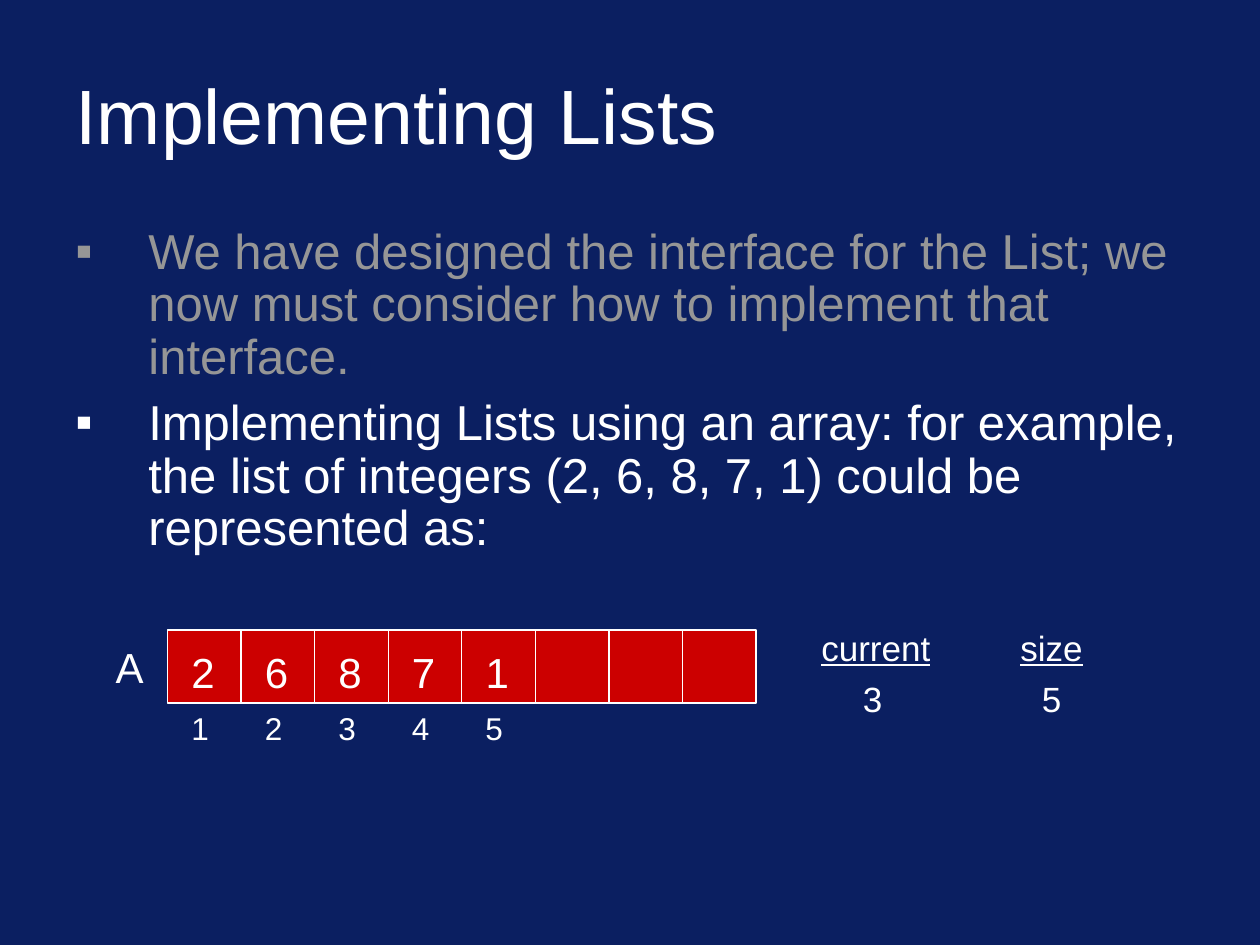
from pptx import Presentation
from pptx.dml.color import RGBColor
from pptx.enum.shapes import MSO_CONNECTOR as Connector, MSO_SHAPE as Shape
from pptx.enum.text import MSO_ANCHOR as Anchor, MSO_AUTO_SIZE as AutoSize, PP_ALIGN as Align
from pptx.oxml.ns import qn
from pptx.util import Inches, Pt
from lxml.etree import SubElement

COLORS = {"navy": "0B1F61", "white": "FFFFFF", "gray": "969696", "red": "CC0000"}
ARRAY_LEFT, ARRAY_TOP, ARRAY_WIDTH, ARRAY_HEIGHT = 1.33, 5, 4.67, 0.58
CELL_COUNT = 8
CELL_WIDTH = ARRAY_WIDTH / CELL_COUNT


def color(name):
    return RGBColor.from_string(COLORS[name])


def write(paragraph, text, size=24, fill="white", underline=None, font="Arial"):
    paragraph.alignment = Align.LEFT
    run = paragraph.add_run()
    run.text = text
    run.font.name = font
    run.font.size = Pt(size)
    run.font.color.rgb = color(fill)
    run.font.underline = underline


class SlideBuilder:
    line_width = Pt(0.75)
    bullet = "▪"
    bullet_indent = Inches(0.58)

    def __init__(self, presentation):
        self.slide = presentation.slides.add_slide(presentation.slide_layouts[5])
        background = self.slide.background.fill
        background.solid()
        background.fore_color.rgb = color("navy")

    def title(self, text, left, top, width, height):
        title = self.slide.shapes.title
        title.left, title.top = Inches(left), Inches(top)
        title.width, title.height = Inches(width), Inches(height)
        title.text_frame.vertical_anchor = Anchor.MIDDLE
        title.text_frame.auto_size = AutoSize.NONE
        write(title.text_frame.paragraphs[0], text, size=44)

    def text_box(self, left, top, width, height, wrap=False):
        box = self.slide.shapes.add_textbox(
            Inches(left), Inches(top), Inches(width), Inches(height))
        box.text_frame.word_wrap = wrap
        return box.text_frame

    def label(self, text, left, top, width, height, **style):
        frame = self.text_box(left, top, width, height)
        frame.auto_size = AutoSize.SHAPE_TO_FIT_TEXT
        write(frame.paragraphs[0], text, **style)

    def bullets(self, items, left, top, width, height):
        frame = self.text_box(left, top, width, height, wrap=True)
        for index, (text, fill) in enumerate(items):
            paragraph = frame.add_paragraph() if index else frame.paragraphs[0]
            paragraph.line_spacing = 0.9
            paragraph.space_before = Pt(7)
            write(paragraph, text, size=28, fill=fill)
            properties = paragraph._p.get_or_add_pPr()
            properties.set("marL", str(self.bullet_indent))
            properties.set("indent", str(-self.bullet_indent))
            bullet_color = SubElement(properties, qn("a:buClr"))
            SubElement(bullet_color, qn("a:srgbClr"), val=COLORS[fill])
            SubElement(properties, qn("a:buFont"), typeface="Arial")
            SubElement(properties, qn("a:buChar"), char=self.bullet)

    def rectangle(self, left, top, width, height, fill):
        shape = self.slide.shapes.add_shape(
            Shape.RECTANGLE, Inches(left), Inches(top), Inches(width), Inches(height))
        shape.shadow.inherit = False
        shape.fill.solid()
        shape.fill.fore_color.rgb = color(fill)
        shape.line.color.rgb = color("white")
        shape.line.width = self.line_width
        return shape

    def vertical_line(self, x, top, bottom):
        line = self.slide.shapes.add_connector(
            Connector.STRAIGHT, Inches(x), Inches(top), Inches(x), Inches(bottom))
        line.line.color.rgb = color("white")
        line.line.width = self.line_width
        SubElement(line._element.spPr, qn("a:effectLst"))
        return line


def draw_array(builder, values):
    array = builder.rectangle(ARRAY_LEFT, ARRAY_TOP, ARRAY_WIDTH, ARRAY_HEIGHT, "red")
    for index in range(1, CELL_COUNT):
        divider = builder.vertical_line(
            ARRAY_LEFT + index * CELL_WIDTH, ARRAY_TOP, ARRAY_TOP + ARRAY_HEIGHT)
        if index == CELL_COUNT // 2:
            divider.begin_connect(array, 0)
            divider.end_connect(array, 2)
    builder.label("A", 0.82, 5.04, 0.42, 0.5)
    for index, value in enumerate(values):
        left = ARRAY_LEFT + 0.09 + index * CELL_WIDTH
        builder.label(str(value), left, 5.08, 0.38, 0.5)
        builder.label(str(index + 1), left, 5.58, 0.34, 0.4, size=18)


def main():
    presentation = Presentation()
    presentation.slide_width, presentation.slide_height = Inches(10), Inches(7.5)
    builder = SlideBuilder(presentation)
    builder.title("Implementing Lists", 0.5, 0.4, 9, 1)
    builder.bullets([
        ("We have designed the interface for the List; we now must consider "
         "how to implement that interface.", "gray"),
        ("Implementing Lists using an array: for example, the list of integers "
         "(2, 6, 8, 7, 1) could be represented as:", "white"),
    ], 0.5, 1.75, 9, 2.92)
    draw_array(builder, [2, 6, 8, 7, 1])
    for name, name_left, name_width, value, value_left in [
        ("current", 6.42, 1.1, "3", 6.75),
        ("size", 8, 0.72, "5", 8.17),
    ]:
        builder.label(name, name_left, 4.92, name_width, 0.44, size=20, underline=True)
        builder.label(value, value_left, 5.33, 0.36, 0.44, size=20)
    presentation.save("out.pptx")


if __name__ == "__main__":
    main()
